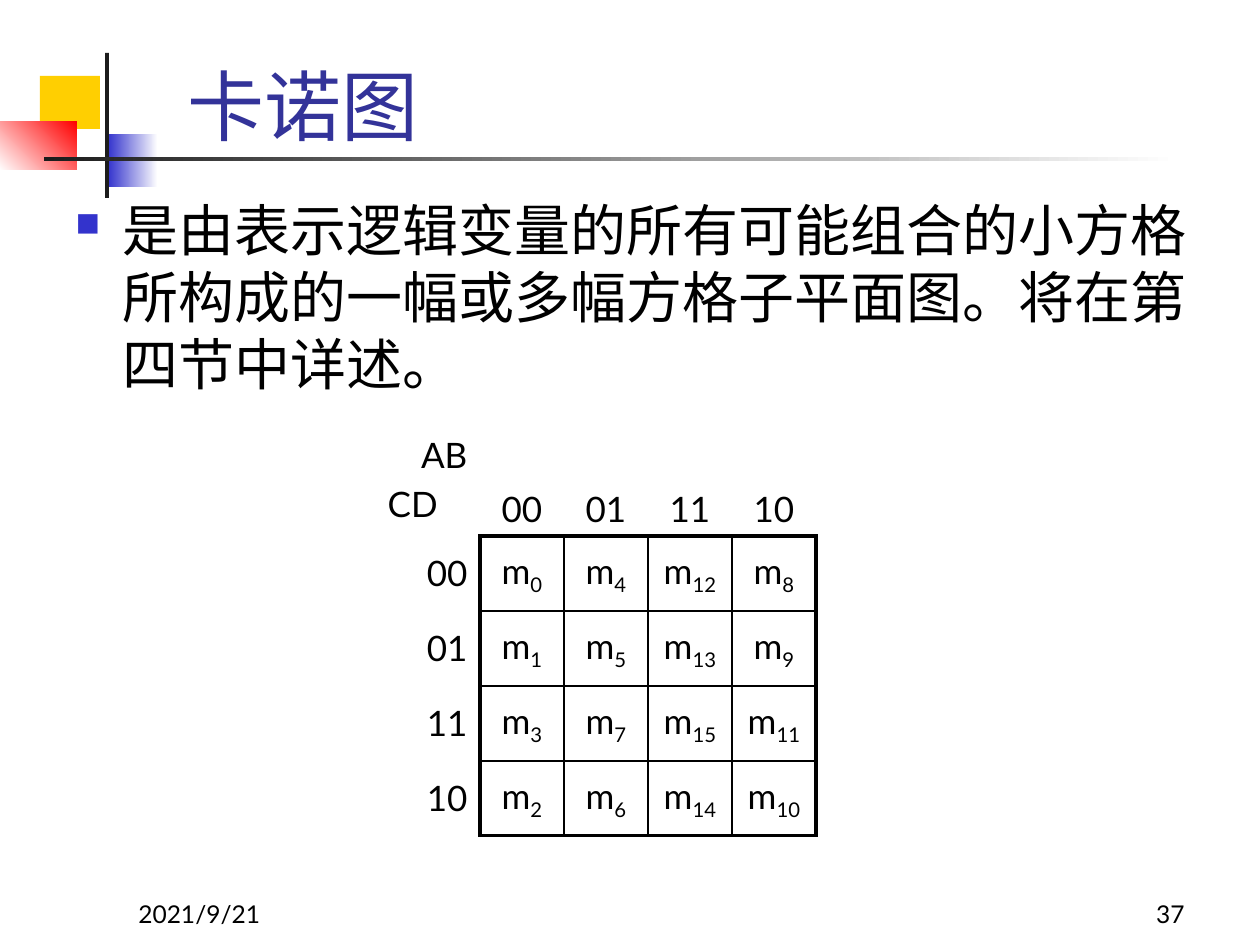
from lxml import etree
from pptx import Presentation
from pptx.dml.color import RGBColor
from pptx.enum.shapes import MSO_SHAPE
from pptx.enum.text import MSO_ANCHOR, PP_ALIGN
from pptx.oxml.ns import qn
from pptx.util import Emu, Pt

RECTANGLE = MSO_SHAPE.RECTANGLE
TOP, MIDDLE, BOTTOM = MSO_ANCHOR.TOP, MSO_ANCHOR.MIDDLE, MSO_ANCHOR.BOTTOM
LEFT, CENTER, RIGHT = PP_ALIGN.LEFT, PP_ALIGN.CENTER, PP_ALIGN.RIGHT

EMU_PER_PX = 914400 / 126
FONT = "Lato"
COLORS = {
    "black": "000000", "title": "333399", "blue": "3333CC", "yellow": "FFCF01",
    "red": "FF0000", "dark": "1C1C1C", "white": "FFFFFF",
}
GRAY_CODE = ["00", "01", "11", "10"]
MINTERMS = [
    [0, 4, 12, 8],
    [1, 5, 13, 9],
    [3, 7, 15, 11],
    [2, 6, 14, 10],
]
THICK, THIN = 2.25, 1
SUBSCRIPT = "-25000"


def px(value):
    return Emu(round(value * EMU_PER_PX))


def color(name):
    return RGBColor.from_string(COLORS[name])


def apply_format(target, values):
    for name, value in values.items():
        setattr(target, name, value)


def add_block(slide, box, fill, end=None, angle=0):
    """Rectangle with a plain fill, or a gradient from fill to end."""
    shape = slide.shapes.add_shape(RECTANGLE, *map(px, box))
    shape.shadow.inherit = False
    shape.line.fill.background()
    if end is None:
        shape.fill.solid()
        shape.fill.fore_color.rgb = color(fill)
        return
    shape.fill.gradient()
    shape.fill.gradient_angle = angle
    for stop, name in zip(shape.fill.gradient_stops, (fill, end)):
        stop.color.rgb = color(name)


def add_run(paragraph, text, size, font_color="black", baseline=None):
    run = paragraph.add_run()
    run.text = text
    apply_format(run.font, {"name": FONT, "size": Pt(size)})
    run.font.color.rgb = color(font_color)
    if baseline:
        run.font._element.set("baseline", baseline)


def add_text(slide, box, text, size, font_color="black", anchor=BOTTOM, align=LEFT):
    frame = slide.shapes.add_textbox(*map(px, box)).text_frame
    apply_format(frame, {"word_wrap": True, "vertical_anchor": anchor})
    paragraph = frame.paragraphs[0]
    paragraph.alignment = align
    add_run(paragraph, text, size, font_color)
    return paragraph


def add_bullet(paragraph, indent):
    paragraph.space_before = Pt(6.4)
    properties = paragraph._p.get_or_add_pPr()
    properties.set("marL", str(px(indent)))
    properties.set("indent", str(-px(indent)))
    bullet_color = etree.SubElement(properties, qn("a:buClr"))
    etree.SubElement(bullet_color, qn("a:srgbClr"), val=COLORS["blue"])
    etree.SubElement(properties, qn("a:buSzPct"), val="60000")
    etree.SubElement(properties, qn("a:buChar"), char="■")


def edge_width(edge, lane, last):
    """Heading lanes have no edges; the outer frame of the map is thick."""
    if edge == 0 or lane == 0:
        return 0
    return THICK if edge in (1, last) else THIN


def set_borders(cell, row, column, last):
    widths = {
        "a:lnL": edge_width(column, row, last),
        "a:lnR": edge_width(column + 1, row, last),
        "a:lnT": edge_width(row, column, last),
        "a:lnB": edge_width(row + 1, column, last),
    }
    properties = cell._tc.get_or_add_tcPr()
    for index, (tag, width) in enumerate(widths.items()):
        line = etree.Element(qn(tag), w=str(Pt(width)))
        if width:
            fill = etree.SubElement(line, qn("a:solidFill"))
            etree.SubElement(fill, qn("a:srgbClr"), val=COLORS["black"])
        else:
            etree.SubElement(line, qn("a:noFill"))
        properties.insert(index, line)


def fill_cell(cell, lines, anchor):
    """Each line is (alignment, text, subscript)."""
    cell.fill.background()
    cell.vertical_anchor = anchor
    frame = cell.text_frame
    for index, (align, text, subscript) in enumerate(lines):
        paragraph = frame.add_paragraph() if index else frame.paragraphs[0]
        apply_format(paragraph, {"alignment": align, "space_before": Pt(4)})
        add_run(paragraph, text, 20)
        if subscript:
            add_run(paragraph, subscript, 20, baseline=SUBSCRIPT)


def cell_content(row, column):
    if row == 0 and column == 0:
        return [(RIGHT, "AB", ""), (LEFT, "CD", "")], MIDDLE
    if row == 0:
        return [(CENTER, GRAY_CODE[column - 1], "")], BOTTOM
    if column == 0:
        return [(RIGHT, GRAY_CODE[row - 1], "")], MIDDLE
    return [(CENTER, "m", str(MINTERMS[row - 1][column - 1]))], MIDDLE


def add_karnaugh_map(slide, left, top, columns, rows):
    count = len(columns)
    box = (left, top, sum(columns), sum(rows))
    table = slide.shapes.add_table(count, count, *map(px, box)).table
    apply_format(table, {"first_row": False, "horz_banding": False})
    for column, width in zip(table.columns, columns):
        column.width = px(width)
    for row, height in zip(table.rows, rows):
        row.height = px(height)
    for row in range(count):
        for column in range(count):
            cell = table.cell(row, column)
            fill_cell(cell, *cell_content(row, column))
            set_borders(cell, row, column, count)


def main():
    presentation = Presentation()
    presentation.slide_width, presentation.slide_height = px(1260), px(945)
    slide = presentation.slides.add_slide(presentation.slide_layouts[6])

    # Corner decoration
    add_block(slide, (40, 76, 60, 53), "yellow")
    add_block(slide, (108, 134, 50, 53), "blue", "white")
    add_block(slide, (0, 122, 77, 48), "white", "red", angle=45)
    add_block(slide, (105, 53, 4, 145), "dark")
    add_block(slide, (44, 157, 1134, 4), "dark", "white")

    # Footer
    add_text(slide, (126, 872, 262, 63), "2021/9/21", 14)
    add_text(slide, (935, 872, 262, 63), "37", 14, align=RIGHT)

    # Body and title
    body = "是由表示逻辑变量的所有可能组合的小方格所构成的一幅或多幅方格子平面图。将在第四节中详述。"
    add_bullet(add_text(slide, (63, 189, 1155, 672), body, 32, anchor=TOP), 47)
    add_text(slide, (175, 73, 1074, 84), "卡诺图", 44, "title")

    # Karnaugh map
    add_karnaugh_map(slide, 375, 423, [105] + [84] * 4, [113] + [75] * 4)

    presentation.save("out.pptx")


if __name__ == "__main__":
    main()
